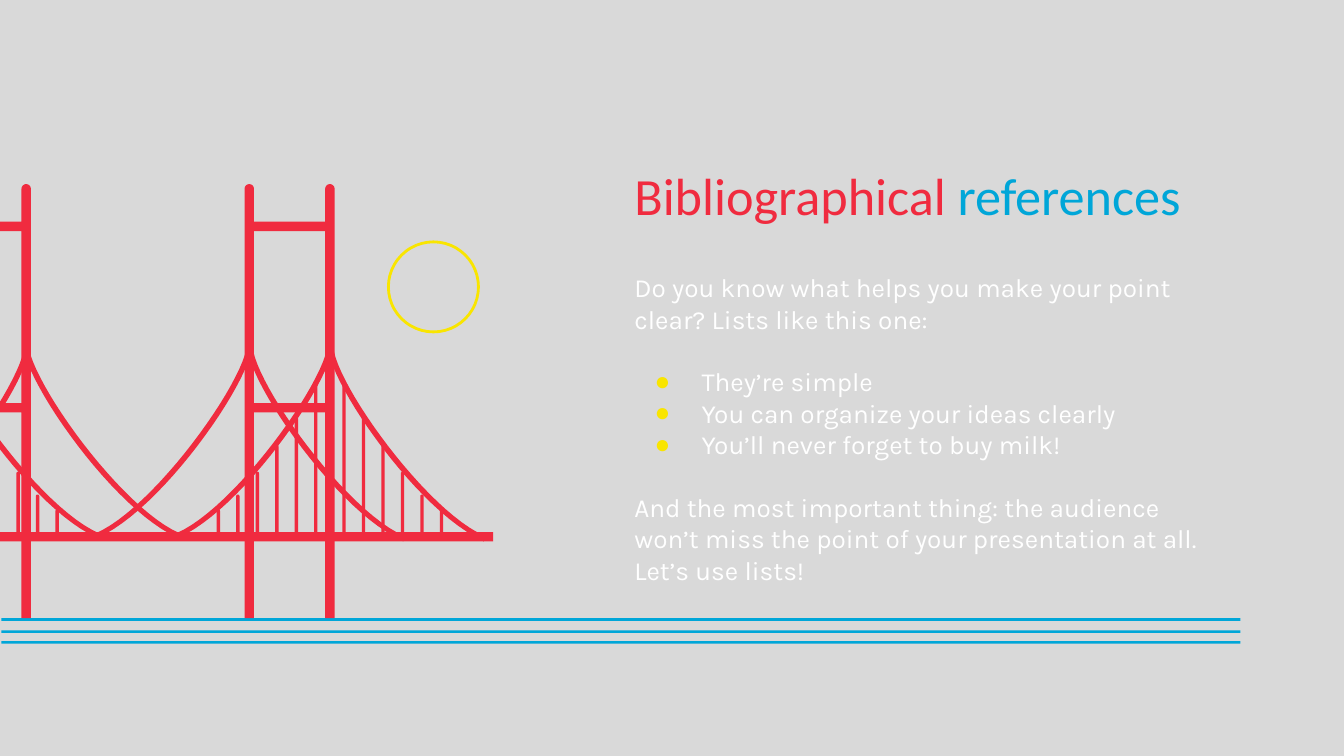
from math import cos, pi, sin

from lxml.etree import SubElement
from pptx import Presentation
from pptx.dml.color import RGBColor
from pptx.enum.shapes import MSO_SHAPE as Shape
from pptx.enum.text import MSO_ANCHOR as Anchor, MSO_AUTO_SIZE as AutoSize, PP_ALIGN as Align
from pptx.oxml.ns import qn
from pptx.util import Cm, Pt

RED, BLUE, YELLOW, WHITE, GREY = "F02B3F", "00A6D8", "F9E500", "FFFFFF", "D9D9D9"

TITLE = [("Bibliographical ", RED), ("references", BLUE)]
BODY = [
    ("Do you know what helps you make your point clear? Lists like this one:", False, True),
    ("They’re simple", True, False),
    ("You can organize your ideas clearly", True, False),
    ("You’ll never forget to buy milk!", True, True),
    ("And the most important thing: the audience won’t miss the point of your "
     "presentation at all. Let’s use lists!", False, False),
]

WAVE_TOPS = [4.6, 4.69, 4.77]
TOWERS = [-0.44, 1.82]
CABLES = [(1.86, 1, 0), (1.86, -1, -0.02), (0.2, -1, 0), (0.19, 1, -0.02),
          (-0.41, 1, -0.02), (2.46, 1, 0), (2.46, -1, -0.02)]
CABLE_UNDER = [(-0.02, 2.58), (0, 2.88), (0.67, 3.82), (1.13, 4.02)]
CABLE_OVER = [(1.15, 3.99), (0.71, 3.8), (0.04, 2.86), (0.02, 2.58)]
HANGER_TOPS = [2.86, 3.1, 3.31, 3.51, 3.68, 3.79]
HANGER_RUNS = [(-0.3, 1, 3), (2.56, 1, 0), (2.35, -1, 0)]
HANGER_GAP, HANGER_WIDTH, HANGER_FOOT = 0.145, 0.025, 4.01


def inch(value):
    """Turn inches into a length."""
    return Cm(value * 2.54)


def color(code):
    """Turn a hex string into a colour."""
    return RGBColor.from_string(code)


def paint(shape, code):
    """Fill a shape without outline or shadow."""
    shape.shadow.inherit = False
    shape.fill.solid()
    shape.fill.fore_color.rgb = color(code)
    shape.line.fill.background()


def add_outline(shapes, contours, code):
    """Draw closed contours as one filled shape."""
    contours = [[(inch(x), inch(y)) for x, y in points] for points in contours]
    builder = shapes.build_freeform(*contours[0][0])
    for index, points in enumerate(contours):
        if index:
            builder.move_to(*points[0])
        builder.add_line_segments(points[1:], close=True)
    paint(builder.convert_to_shape(), code)


def add_bar(shapes, left, top, width, height, code, kind=Shape.RECTANGLE):
    """Draw a filled bar."""
    bar = shapes.add_shape(kind, inch(left), inch(top), inch(width), inch(height))
    paint(bar, code)
    return bar


def bezier(points, steps=24):
    """Sample a cubic curve."""
    samples = []
    for step in range(steps + 1):
        t = step / steps
        weights = [(1 - t) ** 3, 3 * t * (1 - t) ** 2, 3 * t * t * (1 - t), t ** 3]
        samples.append(tuple(sum(w * p[axis] for w, p in zip(weights, points)) for axis in (0, 1)))
    return samples


def add_cable(shapes, start, direction, shift):
    """Draw a hanging cable from a tower."""
    ribbon = bezier(CABLE_UNDER) + [(1.14, 4.03)] + bezier(CABLE_OVER) + [(0, 2.57)]
    add_outline(shapes, [[(start + direction * x, y + shift) for x, y in ribbon]], RED)


def add_tower(shapes, left):
    """Draw two round-topped legs joined by two beams."""
    leg, radius, top, foot = 0.07, 0.035, 1.37, 4.6
    inner, far = left + leg, left + 0.6

    def cap(start):
        return [(start + radius - radius * cos(pi * k / 8), top + radius - radius * sin(pi * k / 8))
                for k in range(9)]

    frame = [(left, foot), *cap(left), (inner, 1.65), (far, 1.65), *cap(far),
             (far + leg, foot), (far, foot), (far, 3.07), (inner, 3.07), (inner, foot)]
    opening = [(inner, 1.72), (inner, 3), (far, 3), (far, 1.72)]
    add_outline(shapes, [frame, opening], RED)


def add_hangers(shapes, start, direction, first):
    """Draw evenly spaced hangers from a tower outwards."""
    for index, top in list(enumerate(HANGER_TOPS))[first:]:
        left = start + direction * index * HANGER_GAP - HANGER_WIDTH / 2
        hanger = add_bar(shapes, left, top, HANGER_WIDTH, HANGER_FOOT - top, RED,
                         Shape.ROUNDED_RECTANGLE)
        hanger.adjustments[0] = 0.5


def place(box, left, top, width, height, anchor):
    """Move a placeholder and set its frame."""
    box.left, box.top, box.width, box.height = map(inch, (left, top, width, height))
    frame = box.text_frame
    frame.word_wrap, frame.auto_size, frame.vertical_anchor = True, AutoSize.NONE, anchor
    frame.margin_left = frame.margin_right = frame.margin_top = frame.margin_bottom = inch(0.1)
    return frame


def style(span, size, font, code):
    """Format one run."""
    span.font.size, span.font.name = Pt(size), font
    span.font.color.rgb = color(code)


def set_bullet(para, bulleted):
    """Give a paragraph a yellow dot or none."""
    props = para._p.get_or_add_pPr()
    props.set("marL", str(inch(0.5) if bulleted else 0))
    props.set("indent", str(inch(-0.35) if bulleted else 0))
    if bulleted:
        SubElement(SubElement(props, qn("a:buClr")), qn("a:srgbClr"), val=YELLOW)
        SubElement(props, qn("a:buChar"), char="●")
    else:
        SubElement(props, qn("a:buNone"))


def main():
    """Build the slide."""
    deck = Presentation()
    deck.slide_width, deck.slide_height = Cm(25.4), Cm(14.2875)
    page = deck.slides.add_slide(deck.slide_layouts[1])
    page.background.fill.solid()
    page.background.fill.fore_color.rgb = color(GREY)

    title = place(page.shapes.title, 4.62, 0.88, 4.61, 1.13, Anchor.MIDDLE).paragraphs[0]
    title.alignment = Align.LEFT
    for text, code in TITLE:
        span = title.add_run()
        span.text = text
        style(span, 28, "Calibri", code)

    frame = place(page.placeholders[1], 4.62, 1.92, 4.61, 2.66, Anchor.TOP)
    frame.text = "\n".join(text for text, _, _ in BODY)
    for para, (_, bulleted, gap_after) in zip(frame.paragraphs, BODY):
        para.alignment = Align.LEFT
        para.space_before, para.space_after = Pt(0), Pt(16.8 if gap_after else 0)
        set_bullet(para, bulleted)
        style(para.runs[0], 14, "Karla", WHITE)

    waves = page.shapes.add_group_shape().shapes
    for top in WAVE_TOPS:
        add_bar(waves, 0.01, top, 9.22, 0.02, BLUE)

    bridge = page.shapes.add_group_shape().shapes
    for cable in CABLES:
        add_cable(bridge, *cable)
    for left in TOWERS:
        add_tower(bridge, left)
    for run in HANGER_RUNS:
        add_hangers(bridge, *run)
    add_bar(bridge, -1.61, 3.96, 5.28, 0.07, RED)

    sun = add_bar(page.shapes, 2.89, 1.8, 0.67, 0.67, YELLOW, Shape.OVAL)
    sun.fill.background()
    sun.line.color.rgb = color(YELLOW)
    sun.line.width = Pt(1.5)

    deck.save("out.pptx")


if __name__ == "__main__":
    main()
